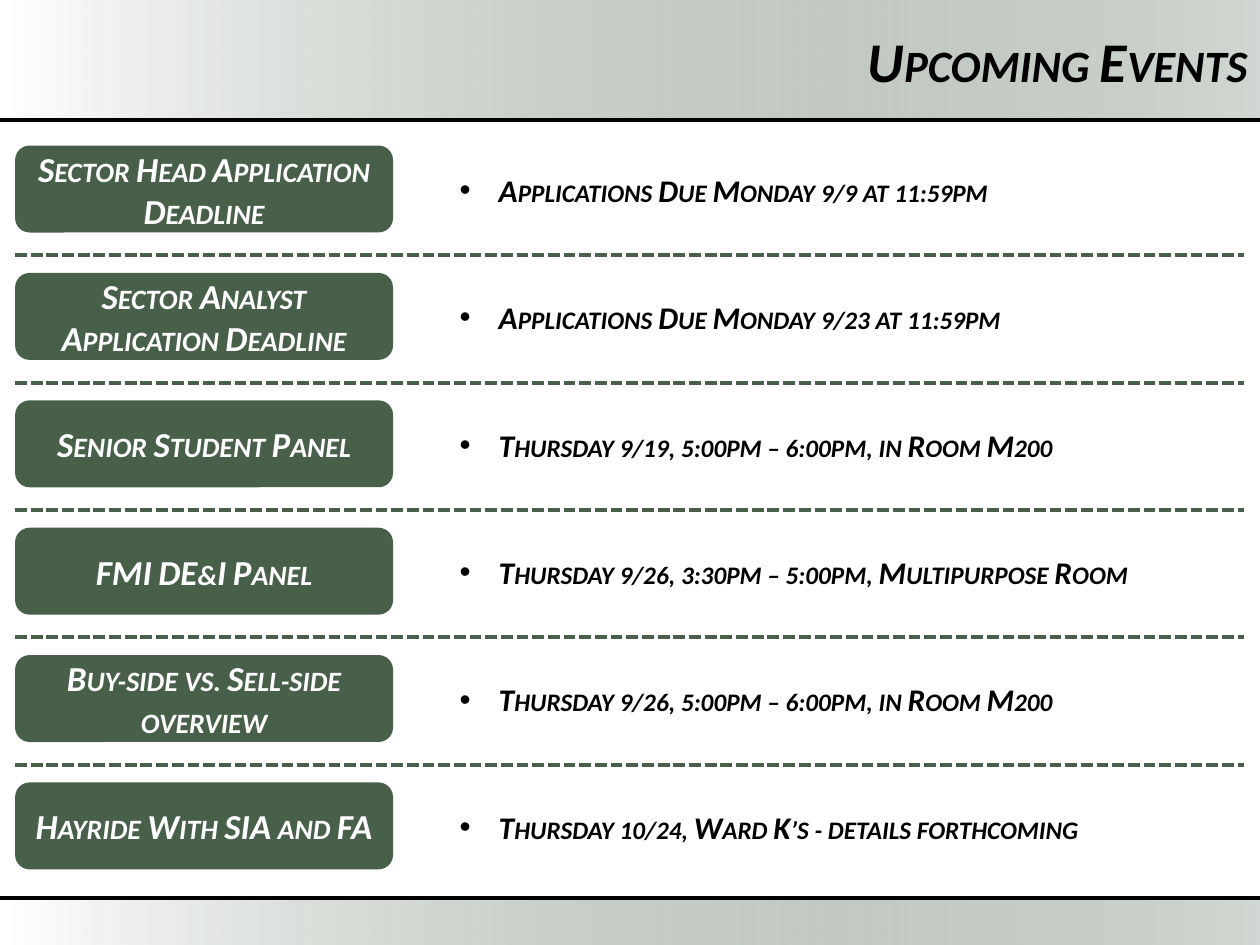
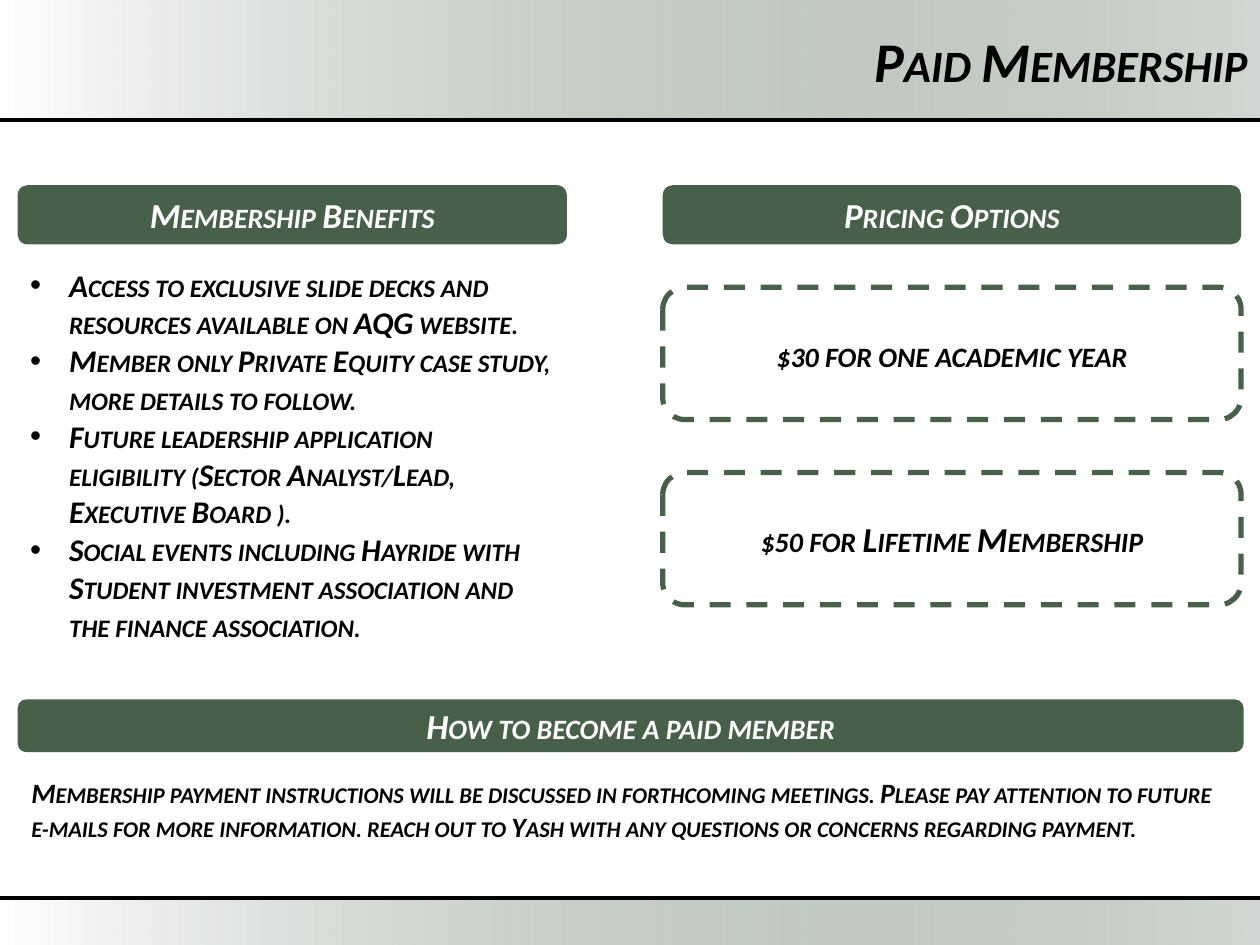
import collections

import lxml.etree
import pptx
import pptx.dml.color
import pptx.enum.dml
import pptx.enum.shapes
import pptx.enum.text
import pptx.oxml.ns
import pptx.util

COLORS = {"green": "48604A", "black": "000000", "white": "FFFFFF"}
FONT = "Calibri"
SHAPE = pptx.enum.shapes.MSO_SHAPE
ALIGN = pptx.enum.text.PP_ALIGN
ANCHOR = pptx.enum.text.MSO_ANCHOR
DASH = pptx.enum.dml.MSO_LINE

# The slide is a grid of 100 columns by 75 rows; every Box counts in them.
WIDTH, HEIGHT = pptx.util.Inches(10), pptx.util.Inches(7.5)
COLS, ROWS = 100, 75
BULLET_INDENT = 3.1

Box = collections.namedtuple("Box", "x y w h")

HEADER = Box(0, 0, COLS, 9.5)
FOOTER = Box(0, 71.25, COLS, 3.75)

EVENTS = [
    ("Sector Head Application Deadline", "Applications Due Monday 9/9 at 11:59pm"),
    ("Sector Analyst Application Deadline", "Applications Due Monday 9/23 at 11:59pm"),
    ("Senior Student Panel", "Thursday 9/19, 5:00pm – 6:00pm, in Room M200"),
    ("FMI DE&I Panel", "Thursday 9/26, 3:30pm – 5:00pm, Multipurpose Room"),
    ("Buy-side vs. Sell-side overview", "Thursday 9/26, 5:00pm – 6:00pm, in Room M200"),
    ("Hayride With SIA and FA", "Thursday 10/24, Ward K’s - details forthcoming"),
]
BENEFITS = [
    "Access to exclusive slide decks and resources available on AQG website.",
    "Member only Private Equity case study, more details to follow.",
    "Future leadership application eligibility (Sector Analyst/Lead, Executive Board ).",
    "Social events including Hayride with Student investment association "
    "and the finance association.",
]
PRICES = ["$30 for one academic year", "$50 for Lifetime Membership"]
PAYMENT = (
    "Membership payment instructions will be discussed in forthcoming meetings. "
    "Please pay attention to future e-mails for more information. "
    "reach out to Yash with any questions or concerns regarding payment."
)


def rgb(name):
    return pptx.dml.color.RGBColor.from_string(COLORS[name])


def col(n):
    return round(WIDTH * n / COLS)


def row(n):
    return round(HEIGHT * n / ROWS)


def place(box):
    return col(box.x), row(box.y), col(box.w), row(box.h)


def add_child(parent, tag, **attributes):
    return lxml.etree.SubElement(parent, pptx.oxml.ns.qn(tag), attributes)


def write(sp, lines, size, color="black", align=ALIGN.LEFT, anchor=ANCHOR.MIDDLE, bullet=False):
    """Fill a shape with bold italic small-cap paragraphs."""
    tf = sp.text_frame
    tf.word_wrap = True
    tf.vertical_anchor = anchor
    tf.text = "\n".join(lines)
    for p in tf.paragraphs:
        p.alignment = align
        if bullet:
            pPr = p._p.get_or_add_pPr()
            pPr.set("marL", str(col(BULLET_INDENT)))
            pPr.set("indent", str(-col(BULLET_INDENT)))
            add_child(pPr, "a:buFont", typeface="Arial")
            add_child(pPr, "a:buChar", char="•")
        for r in p.runs:
            r.font.name = FONT
            r.font.size = pptx.util.Pt(size)
            r.font.bold = r.font.italic = True
            r.font.color.rgb = rgb(color)
            r._r.get_or_add_rPr().set("cap", "small")


def text_box(s, box, lines, size, **style):
    write(s.shapes.add_textbox(*place(box)), lines, size, **style)


def rule(s, y, x1, x2, color, weight, dash=None):
    """Draw a horizontal line."""
    line = s.shapes.add_connector(
        pptx.enum.shapes.MSO_CONNECTOR.STRAIGHT, col(x1), row(y), col(x2), row(y))
    line.line.color.rgb = rgb(color)
    line.line.width = pptx.util.Pt(weight)
    if dash:
        line.line.dash_style = dash
    add_child(line.element.spPr, "a:effectLst")


def band(s, box):
    """Fill a strip from white to translucent green."""
    sp = s.shapes.add_shape(SHAPE.RECTANGLE, *place(box))
    sp.shadow.inherit = False
    sp.line.fill.background()
    sp.fill.gradient()
    sp.fill.gradient_angle = 0
    for stop, name in zip(sp.fill.gradient_stops, ("white", "green")):
        stop.color.rgb = rgb(name)
    add_child(sp.element.xpath(".//a:gradFill//a:srgbClr")[-1], "a:alpha", val="25000")


def label(s, box, text):
    """Draw a solid green rounded label."""
    sp = s.shapes.add_shape(SHAPE.ROUNDED_RECTANGLE, *place(box))
    sp.shadow.inherit = False
    sp.fill.solid()
    sp.fill.fore_color.rgb = rgb("green")
    sp.line.fill.background()
    write(sp, [text], 20, color="white", align=ALIGN.CENTER)


def price_card(s, box, text):
    sp = s.shapes.add_shape(SHAPE.ROUNDED_RECTANGLE, *place(box))
    sp.shadow.inherit = False
    sp.fill.background()
    sp.line.color.rgb = rgb("green")
    sp.line.width = pptx.util.Pt(3)
    sp.line.dash_style = DASH.DASH
    write(sp, [text], 20, align=ALIGN.CENTER)


def titled_slide(prs, title):
    """Add a blank slide with the shared bands, rules and title."""
    s = prs.slides.add_slide(prs.slide_layouts[6])
    band(s, HEADER)
    rule(s, HEADER.y + HEADER.h, 0, COLS, "black", 2.5)
    band(s, FOOTER)
    rule(s, FOOTER.y, 0, COLS, "black", 2.5)
    text_box(s, Box(40, 1.6, 60, 6.4), [title], 32, align=ALIGN.RIGHT)
    return s


def event_row(s, box, name, details):
    label(s, Box(box.x, box.y + 0.25, 30, 6.9), name)
    left = 34.3
    text_box(s, Box(box.x + left, box.y, box.w - left, box.h), [details], 18, bullet=True)


def events_slide(prs):
    s = titled_slide(prs, "Upcoming Events")
    pitch = 10.11
    for i, (name, details) in enumerate(EVENTS):
        box = Box(1.2, 11.3 + i * pitch, 97.5, 7.5)
        if i:
            rule(s, box.y - 1.15, box.x, box.x + box.w, "green", 2.25, DASH.SQUARE_DOT)
        event_row(s, box, name, details)


def benefits_panel(s, box):
    label(s, Box(box.x, box.y, box.w, 4.7), "Membership Benefits")
    text_box(s, Box(box.x, box.y + 5.9, box.w, box.h - 5.9), BENEFITS, 18,
             anchor=ANCHOR.TOP, bullet=True)


def pricing_panel(s, box):
    label(s, Box(box.x, box.y, box.w, 4.7), "Pricing Options")
    for i, price in enumerate(PRICES):
        price_card(s, Box(box.x, box.y + 8.1 + i * 14.7, box.w, 10.5), price)


def payment_panel(s, box):
    label(s, Box(box.x, box.y, box.w, 4.2), "How to become a paid member")
    text_box(s, Box(box.x + 0.1, box.y + 5.6, box.w - 0.3, box.h - 5.6), [PAYMENT], 16,
             anchor=ANCHOR.TOP)


def membership_slide(prs):
    s = titled_slide(prs, "Paid Membership")
    benefits_panel(s, Box(1.4, 14.7, 43.6, 37.2))
    pricing_panel(s, Box(52.6, 14.7, 45.9, 33.3))
    payment_panel(s, Box(1.4, 55.5, 97.3, 12))


def main():
    prs = pptx.Presentation()
    prs.slide_width, prs.slide_height = WIDTH, HEIGHT
    events_slide(prs)
    membership_slide(prs)
    prs.save("out.pptx")


if __name__ == "__main__":
    main()
